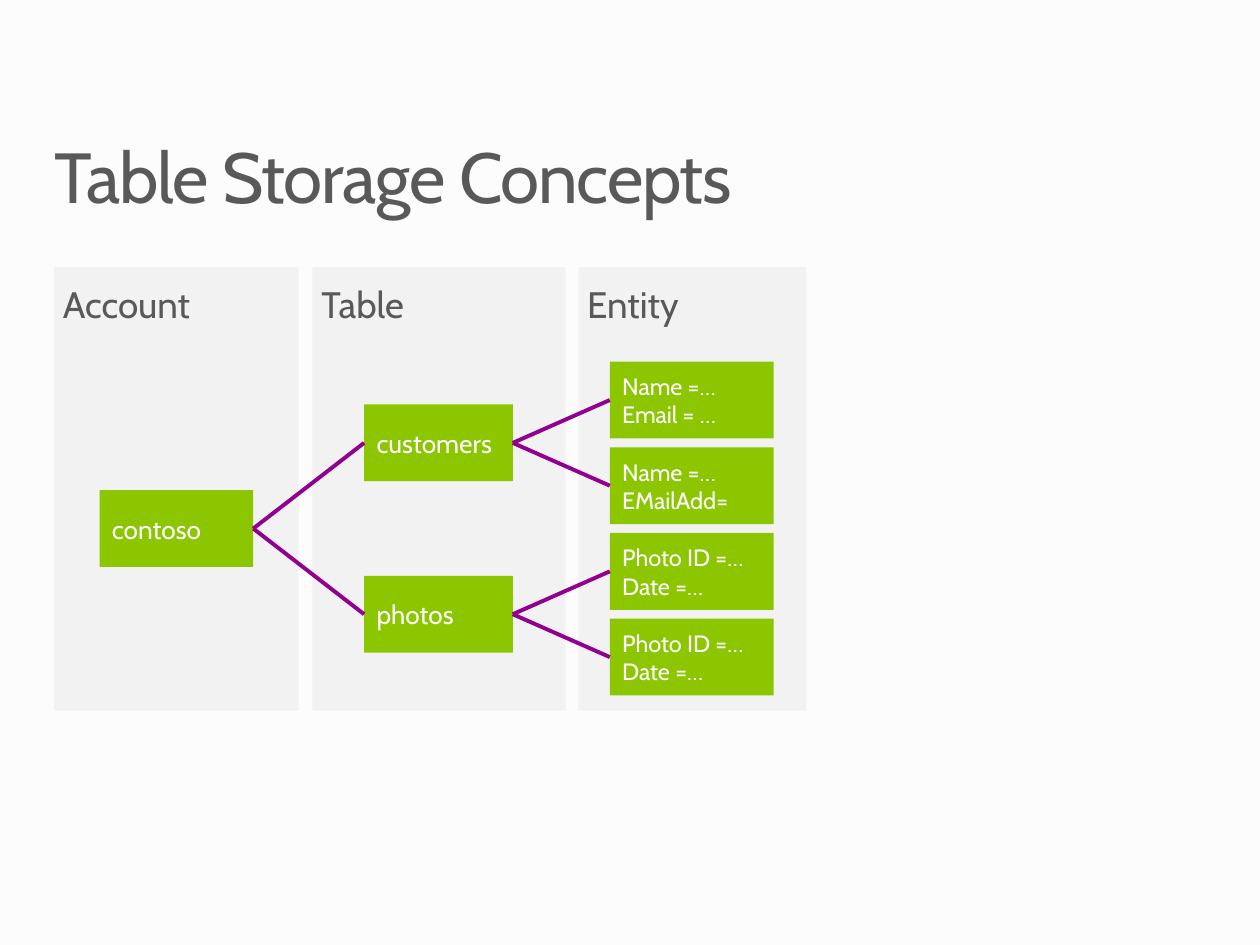
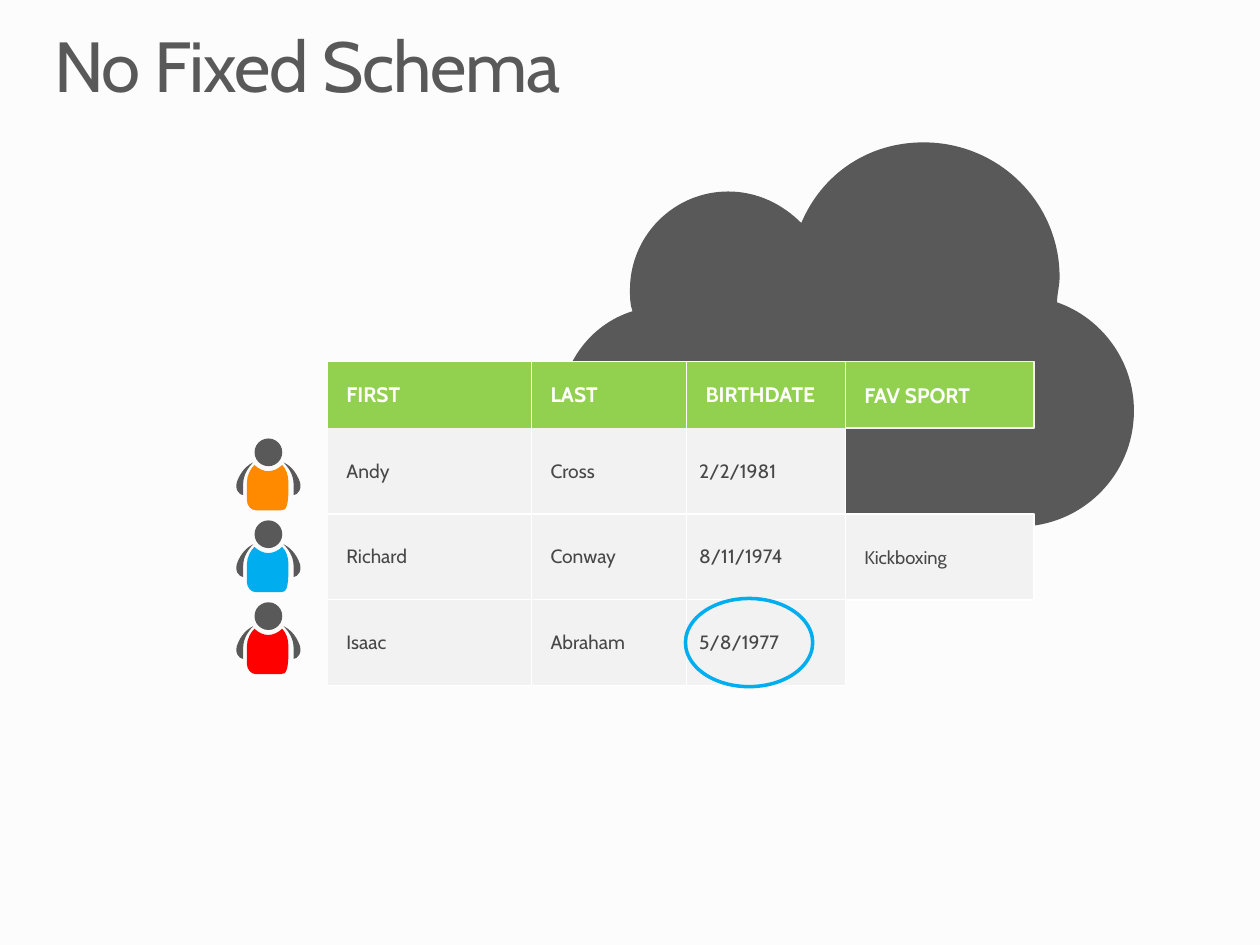
import lxml.etree
import pptx
import pptx.dml.color
import pptx.enum.shapes
import pptx.enum.text
import pptx.oxml.ns
import pptx.util

RGB = pptx.dml.color.RGBColor
PAPER = RGB(0xFC, 0xFC, 0xFC)
WHITE = RGB(0xFF, 0xFF, 0xFF)
PALE = RGB(0xF2, 0xF2, 0xF2)
GREY = RGB(0x59, 0x59, 0x59)
INK = RGB(0x47, 0x47, 0x47)
GREEN = RGB(0x8C, 0xC6, 0x00)
LIME = RGB(0x92, 0xD0, 0x50)
PLUM = RGB(0x91, 0x00, 0x91)
BLUE = RGB(0x00, 0xAE, 0xEF)
AMBER = RGB(0xFF, 0x8A, 0x00)
RED = RGB(0xFF, 0x00, 0x00)

FONT = "Cabin"
WIDE, HIGH = 10, 7.5
EDGE = 0.43
TOP = 2.87
ROW = 0.68
BOX = 0.61
HEAD = 0.53

PANELS = [("Account", 0.43, 1.94), ("Table", 2.48, 2.01), ("Entity", 4.59, 1.81)]
LEVELS = [(0.79, 1.22, 15), (2.89, 1.18, 15), (4.84, 1.3, 13.5)]
NODES = {
    "account": (0, 1.5, "contoso"),
    "customers": (1, 0.5, "customers"),
    "photos": (1, 2.5, "photos"),
    "name": (2, 0, "Name =…\nEmail = …"),
    "mail": (2, 1, "Name =…\nEMailAdd="),
    "first": (2, 2, "Photo ID =…\nDate =…"),
    "second": (2, 3, "Photo ID =…\nDate =…"),
}
LINKS = [
    ("account", "customers"), ("account", "photos"),
    ("customers", "name"), ("customers", "mail"),
    ("photos", "first"), ("photos", "second"),
]

COLS = [1.62, 1.62, 1.23, 1.26]
LEFT = 0.98
ROWS = [
    ("", "FIRST", "LAST", "BIRTHDATE"),
    ("", "Andy", "Cross", "2/2/1981"),
    ("", "Richard", "Conway", "8/11/1974"),
    ("", "Isaac", "Abraham", "5/8/1977"),
]
SIDES = [("L", "R", "T"), ("L", "R", "B"), ("L", "R", "T", "B"), ("L", "R", "T", "B")]
PLAIN = "{2D5ABB26-0587-4C30-8999-92F81FD0307C}"

CLOUD = [
    (8.39, 2.4), (8.39, 2.33, 8.41, 2.27, 8.41, 2.2),
    (8.41, 1.61, 7.93, 1.13, 7.33, 1.13), (6.88, 1.13, 6.52, 1.39, 6.36, 1.77),
    (6.21, 1.62, 6.01, 1.52, 5.78, 1.52), (5.35, 1.52, 5, 1.87, 5, 2.3),
    (5, 2.35, 5, 2.42, 5.02, 2.47), (4.67, 2.58, 4.44, 2.91, 4.44, 3.29),
    (4.44, 3.79, 4.83, 4.18, 5.33, 4.18), (8.08, 4.18),
    (8.59, 4.18, 9, 3.77, 9, 3.26), (9, 2.86, 8.74, 2.52, 8.39, 2.4),
]
ARM = [
    (-0.12, 0.19), (-0.14, 0.2, -0.2, 0.23, -0.24, 0.32),
    (-0.28, 0.4, -0.23, 0.45, -0.2, 0.45), (-0.2, 0.36),
    (-0.2, 0.29, -0.16, 0.23, -0.12, 0.19),
]
BODY = [
    (0.16, 0.35), (0.16, 0.29, 0.14, 0.24, 0.11, 0.21),
    (0.08, 0.24, 0.04, 0.26, 0, 0.26), (-0.04, 0.26, -0.08, 0.24, -0.11, 0.21),
    (-0.14, 0.24, -0.17, 0.29, -0.17, 0.35), (-0.17, 0.49),
    (-0.17, 0.53, -0.14, 0.57, -0.1, 0.57), (0.1, 0.57),
    (0.14, 0.57, 0.16, 0.55, 0.16, 0.38),
]
SHIRTS = [AMBER, BLUE, RED]
MID, CROWN, STEP, SKULL = 2.13, 3.48, 0.65, 0.22


def inch(*vals):
    return [pptx.util.Inches(v) for v in vals]


def write(frame, text, size, color, pads, bold=False, mid=True, space=None):
    frame.text = text
    frame.word_wrap = True
    anchor = pptx.enum.text.MSO_ANCHOR
    frame.vertical_anchor = anchor.MIDDLE if mid else anchor.TOP
    (frame.margin_left, frame.margin_top,
     frame.margin_right, frame.margin_bottom) = inch(*pads)
    for para in frame.paragraphs:
        para.alignment = pptx.enum.text.PP_ALIGN.LEFT
        para.line_spacing = space
        for run in para.runs:
            style(run.font, size, color, bold)


def style(font, size, color, bold):
    font.name = FONT
    font.size = pptx.util.Pt(size)
    font.color.rgb = color
    font.bold = bold


def paint(shape, fill=None, line=None, width=1):
    shape.shadow.inherit = False
    if fill is None:
        shape.fill.background()
    else:
        shape.fill.solid()
        shape.fill.fore_color.rgb = fill
    if line is None:
        shape.line.fill.background()
    else:
        shape.line.color.rgb = line
        shape.line.width = pptx.util.Pt(width)
    return shape


def add(shapes, kind, at, **look):
    kinds = pptx.enum.shapes.MSO_SHAPE
    return paint(shapes.add_shape(getattr(kinds, kind), *inch(*at)), **look)


def bend(shape, parts):
    qn = pptx.oxml.ns.qn
    for leg, dots in zip(list(shape._element.iter(qn("a:lnTo"))), parts):
        if len(dots) == 1:
            continue
        curve = lxml.etree.Element(qn("a:cubicBezTo"))
        for x, y in dots:
            lxml.etree.SubElement(
                curve, qn("a:pt"), x=str(x - shape.left), y=str(y - shape.top))
        leg.getparent().replace(leg, curve)


def draw(shapes, curves, fill, x=0, y=0, flip=1):
    parts = [[inch(x + flip * a, y + b) for a, b in zip(c[::2], c[1::2])] for c in curves]
    form = shapes.build_freeform(*parts[0][0], scale=1)
    form.add_line_segments([dots[-1] for dots in parts[1:]], close=True)
    shape = paint(form.convert_to_shape(), fill)
    bend(shape, parts[1:])


def start(deck):
    slide = deck.slides.add_slide(deck.slide_layouts[6])
    slide.background.fill.solid()
    slide.background.fill.fore_color.rgb = PAPER
    return slide.shapes


def head(shapes, title, y):
    box = shapes.add_textbox(*inch(EDGE, y, WIDE - 2 * EDGE, BOX))
    write(box.text_frame, title, 40.5, GREY, (0, 0, 0, 0), mid=False, space=0.9)
    for run in box.text_frame.paragraphs[0].runs:
        run.font._element.set("spc", "-75")


def link(shapes, a, b):
    kind = pptx.enum.shapes.MSO_CONNECTOR.STRAIGHT
    line = shapes.add_connector(kind, 0, 0, 0, 0)
    line.begin_connect(a, 3)
    line.end_connect(b, 1)
    line.line.color.rgb = PLUM
    line.line.width = pptx.util.Pt(2.25)
    lxml.etree.SubElement(line._element.spPr, pptx.oxml.ns.qn("a:effectLst"))


def border(cell, sides):
    qn = pptx.oxml.ns.qn
    props = cell._tc.get_or_add_tcPr()
    for n, side in enumerate(sides):
        edge = lxml.etree.Element(qn("a:ln" + side), w="12700")
        fill = lxml.etree.SubElement(edge, qn("a:solidFill"))
        lxml.etree.SubElement(fill, qn("a:srgbClr"), val=str(WHITE))
        props.insert(n, edge)


def concepts(deck):
    shapes = start(deck)
    head(shapes, "Table Storage Concepts", 1.13)
    for text, x, w in PANELS:
        add(shapes, "RECTANGLE", (x, 2.12, w, 3.52), fill=PALE)
        label = shapes.add_textbox(*inch(x, 2.12, w, 1.18))
        write(label.text_frame, text, 21, GREY, (0.07, 0.2, 0.2, 0.2), mid=False, space=0.9)
    boxes = {}
    for key, (level, row, text) in NODES.items():
        x, w, size = LEVELS[level]
        box = add(shapes, "RECTANGLE", (x, TOP + row * ROW, w, BOX), fill=GREEN)
        write(box.text_frame, text, size, WHITE, (0.1, 0.05, 0.1, 0.05))
        boxes[key] = box
    for a, b in LINKS:
        link(shapes, boxes[a], boxes[b])


def grid(shapes):
    size = HEAD + 3 * ROW
    frame = shapes.add_table(len(ROWS), len(COLS), *inch(LEFT, TOP, sum(COLS), size))
    table = frame.table
    table.first_row = table.horz_banding = False
    next(frame._element.iter(pptx.oxml.ns.qn("a:tableStyleId"))).text = PLAIN
    for col, w in zip(table.columns, COLS):
        col.width = pptx.util.Inches(w)
    for r, texts in enumerate(ROWS):
        table.rows[r].height = pptx.util.Inches(ROW if r else HEAD)
        for c, text in enumerate(texts):
            cell = table.cell(r, c)
            if not text:
                cell.fill.background()
                continue
            cell.fill.solid()
            cell.fill.fore_color.rgb = PALE if r else LIME
            pad = (0.1, 0.04) if r and c == 3 else (0.15, 0.07)
            cell.margin_left = cell.margin_right = pptx.util.Inches(pad[0])
            cell.margin_top = cell.margin_bottom = pptx.util.Inches(pad[1])
            cell.vertical_anchor = pptx.enum.text.MSO_ANCHOR.MIDDLE
            cell.text_frame.text = text
            font = cell.text_frame.paragraphs[0].runs[0].font
            style(font, 11 if r else 12, INK if r else WHITE, not r)
            border(cell, SIDES[r][1:] if c == 1 else SIDES[r])


def person(shapes, y, shirt):
    parts = shapes.add_group_shape().shapes
    for flip in (1, -1):
        draw(parts, ARM, GREY, MID, y, flip)
    draw(parts, BODY, shirt, MID, y)
    add(parts, "OVAL", (MID - SKULL / 2, y, SKULL, SKULL), fill=GREY)


def schema(deck):
    shapes = start(deck)
    draw(shapes, CLOUD, GREY)
    head(shapes, "No Fixed Schema", 0.25)
    grid(shapes)
    add(shapes, "OVAL", (5.44, 4.75, 1.01, 0.7), line=BLUE, width=2)
    extras = [
        ("FAV SPORT", TOP, HEAD, LIME, PALE, 12, WHITE, True),
        ("Kickboxing", TOP + HEAD + ROW, ROW, PALE, WHITE, 10.5, INK, False),
    ]
    for text, y, h, fill, line, size, color, bold in extras:
        box = add(shapes, "RECTANGLE", (6.71, y, 1.5, h), fill=fill, line=line)
        write(box.text_frame, text, size, color, (0.15, 0.04, 0.07, 0.04), bold)
    for n, shirt in enumerate(SHIRTS):
        person(shapes, CROWN + n * STEP, shirt)


def main():
    deck = pptx.Presentation()
    deck.slide_width, deck.slide_height = inch(WIDE, HIGH)
    concepts(deck)
    schema(deck)
    deck.save("out.pptx")


if __name__ == "__main__":
    main()
